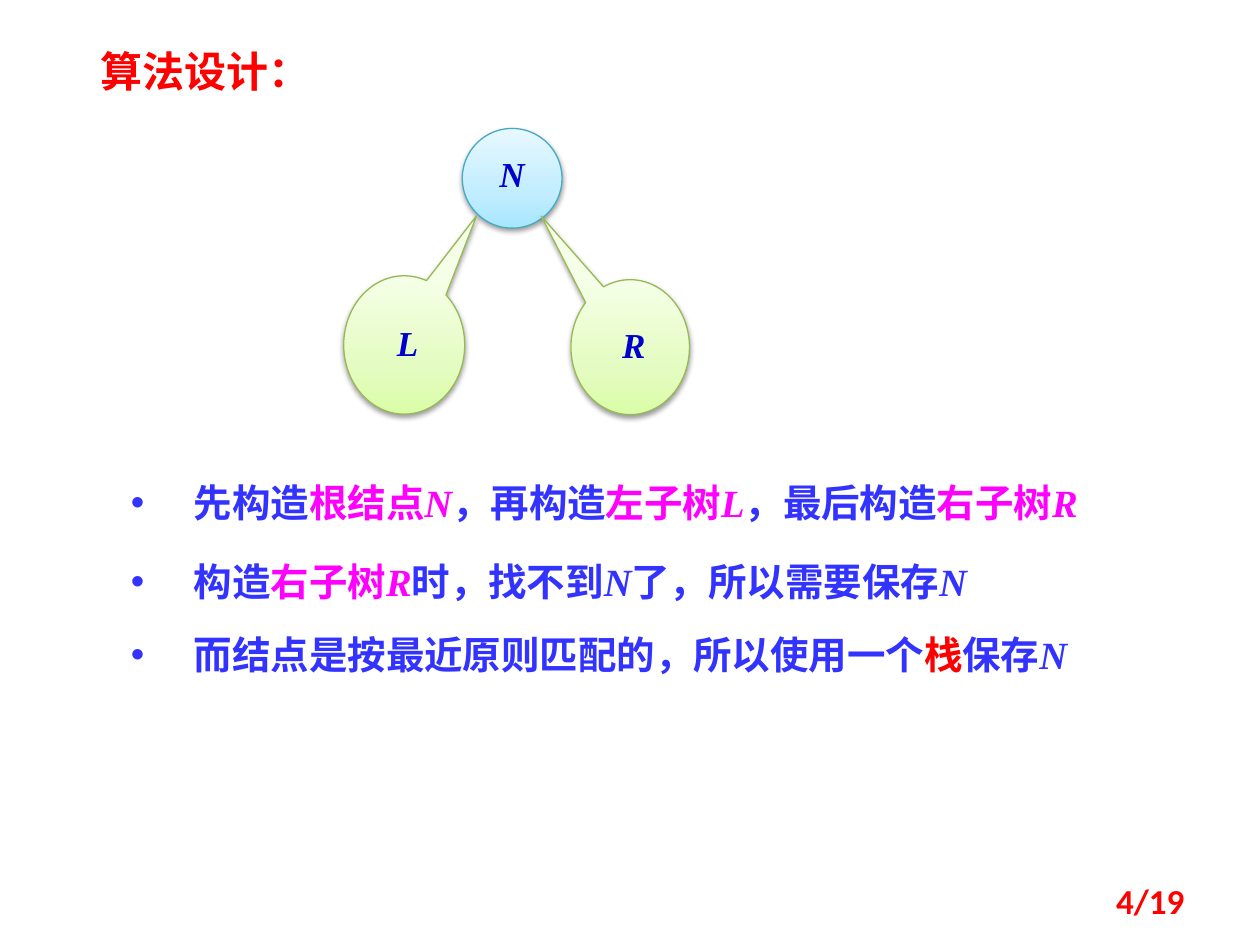
from lxml.etree import SubElement
from pptx import Presentation
from pptx.dml.color import RGBColor
from pptx.enum.shapes import MSO_SHAPE as Shape
from pptx.enum.text import MSO_ANCHOR as Anchor, PP_ALIGN as Align
from pptx.oxml import parse_xml
from pptx.oxml.ns import nsdecls, qn
from pptx.util import Cm, Pt

RED = RGBColor(0xFF, 0x00, 0x00)
BLUE = RGBColor(0x33, 0x33, 0xFF)
PINK = RGBColor(0xFF, 0x00, 0xFF)
NAVY = RGBColor(0x00, 0x00, 0xCC)
TEAL = RGBColor(0x46, 0xAA, 0xC5)
OLIVE = RGBColor(0x98, 0xB9, 0x55)
SKY = [RGBColor(0xA7, 0xE6, 0xFF), RGBColor(0xC1, 0xED, 0xFF), RGBColor(0xE7, 0xF8, 0xFF)]
LIME = [RGBColor(0xDA, 0xFD, 0xA7), RGBColor(0xE4, 0xFC, 0xC2), RGBColor(0xF5, 0xFF, 0xE7)]
HAN, SERIF, SANS = "Noto Sans CJK SC", "Times New Roman", "Calibri"

STEPS = [
    (0, [("先构造", BLUE), ("根结点", PINK), ("N", PINK), ("，再构造", BLUE),
         ("左子树", PINK), ("L", PINK), ("，最后构造", BLUE), ("右子树", PINK), ("R", PINK)]),
    (1.6, [("构造", BLUE), ("右子树", PINK), ("R", PINK), ("时，找不到", BLUE),
           ("N", BLUE), ("了，所以需要保存", BLUE), ("N", BLUE)]),
    (3.07, [("而结点是按最近原则匹配的，所以使用一个", BLUE), ("栈", RED),
            ("保存", BLUE), ("N", BLUE)]),
]


def add_run(para, text, size, color, face=SERIF, italic=False):
    run = para.add_run()
    run.text = text
    font = run.font
    font.size, font.bold, font.italic = Pt(size), True, italic
    font.color.rgb = color
    font.name = face
    SubElement(font._element, qn("a:ea")).set("typeface", HAN)


def add_text(slide, x, y, w, h, wrap=True):
    """Add a text box and return its frame."""
    frame = slide.shapes.add_textbox(Cm(x), Cm(y), Cm(w), Cm(h)).text_frame
    frame.word_wrap = wrap
    return frame


def add_node(slide, kind, x, y, w, h, tints, edge):
    """Add a tree node with an upward gradient and a soft shadow."""
    node = slide.shapes.add_shape(kind, Cm(x), Cm(y), Cm(w), Cm(h))
    node.fill.solid()
    node.line.color.rgb = edge
    node.line.width = Pt(0.75)
    node.shadow.inherit = False
    props = node._element.spPr
    stops = "".join(f'<a:gs pos="{pos}"><a:srgbClr val="{tint}"/></a:gs>'
                    for pos, tint in zip((0, 35000, 100000), tints))
    props.replace(props.find(qn("a:solidFill")), parse_xml(
        f'<a:gradFill {nsdecls("a")} rotWithShape="1"><a:gsLst>{stops}</a:gsLst>'
        '<a:lin ang="16200000" scaled="0"/></a:gradFill>'))
    props.find(qn("a:effectLst")).append(parse_xml(
        f'<a:outerShdw {nsdecls("a")} blurRad="{Pt(3.1)}" dist="{Pt(1.6)}" dir="5400000" '
        'rotWithShape="0"><a:srgbClr val="000000"><a:alpha val="38000"/></a:srgbClr></a:outerShdw>'))
    return node


def add_title(slide, x, y, w, h):
    para = add_text(slide, x, y, w, h).paragraphs[0]
    add_run(para, "算法设计：", 24, RED, HAN)


def add_tree(slide, x, y):
    """Place the root N and its subtrees L and R, with the top left at x, y."""
    root = add_node(slide, Shape.OVAL, x + 2.39, y, 2.01, 2.01, SKY, TEAL)
    frame = root.text_frame
    frame.margin_left = frame.margin_right = frame.margin_bottom = 0
    frame.margin_top = Cm(0.2)
    frame.vertical_anchor = Anchor.TOP
    para = frame.paragraphs[0]
    para.alignment = Align.CENTER
    add_run(para, "N", 20, NAVY, italic=True)

    for name, dx, dy, w, h, tip, tx, ty in (
            ("L", 0, 2.97, 2.44, 2.79, (0.598, -0.934), 0.82, 3.76),
            ("R", 4.58, 3.05, 2.39, 2.72, (-0.75, -0.971), 5.36, 3.81)):
        leaf = add_node(slide, Shape.OVAL_CALLOUT, x + dx, y + dy, w, h, LIME, OLIVE)
        leaf.adjustments[0], leaf.adjustments[1] = tip
        frame = add_text(slide, x + tx, y + ty, 0.95, 1.12, wrap=False)
        add_run(frame.paragraphs[0], name, 20, NAVY, italic=True)


def add_steps(slide, x, y, w):
    for dy, parts in STEPS:
        para = add_text(slide, x, y + dy, w, 1.19).paragraphs[0]
        props = para._p.get_or_add_pPr()
        props.set("marL", str(Cm(1.27)))
        props.set("indent", str(-Cm(1.27)))
        SubElement(props, qn("a:buFont")).set("typeface", "Arial")
        SubElement(props, qn("a:buChar")).set("char", "•")
        for text, color in parts:
            add_run(para, text, 22, color, italic=text.isascii())


def add_page(slide, x, y, w, h):
    frame = add_text(slide, x, y, w, h)
    frame.vertical_anchor = Anchor.MIDDLE
    para = frame.paragraphs[0]
    para.alignment = Align.RIGHT
    add_run(para, "4/19", 20, RED, SANS)


def main():
    deck = Presentation()
    deck.slide_width, deck.slide_height = Cm(25.4), Cm(19.05)
    slide = deck.slides.add_slide(deck.slide_layouts[6])
    add_title(slide, 1.78, 0.79, 5.23, 1.27)
    add_tree(slide, 6.93, 2.59)
    add_steps(slide, 2.39, 9.53, 21.23)
    add_page(slide, 18.21, 17.65, 5.92, 1.02)
    deck.save("out.pptx")


if __name__ == "__main__":
    main()
